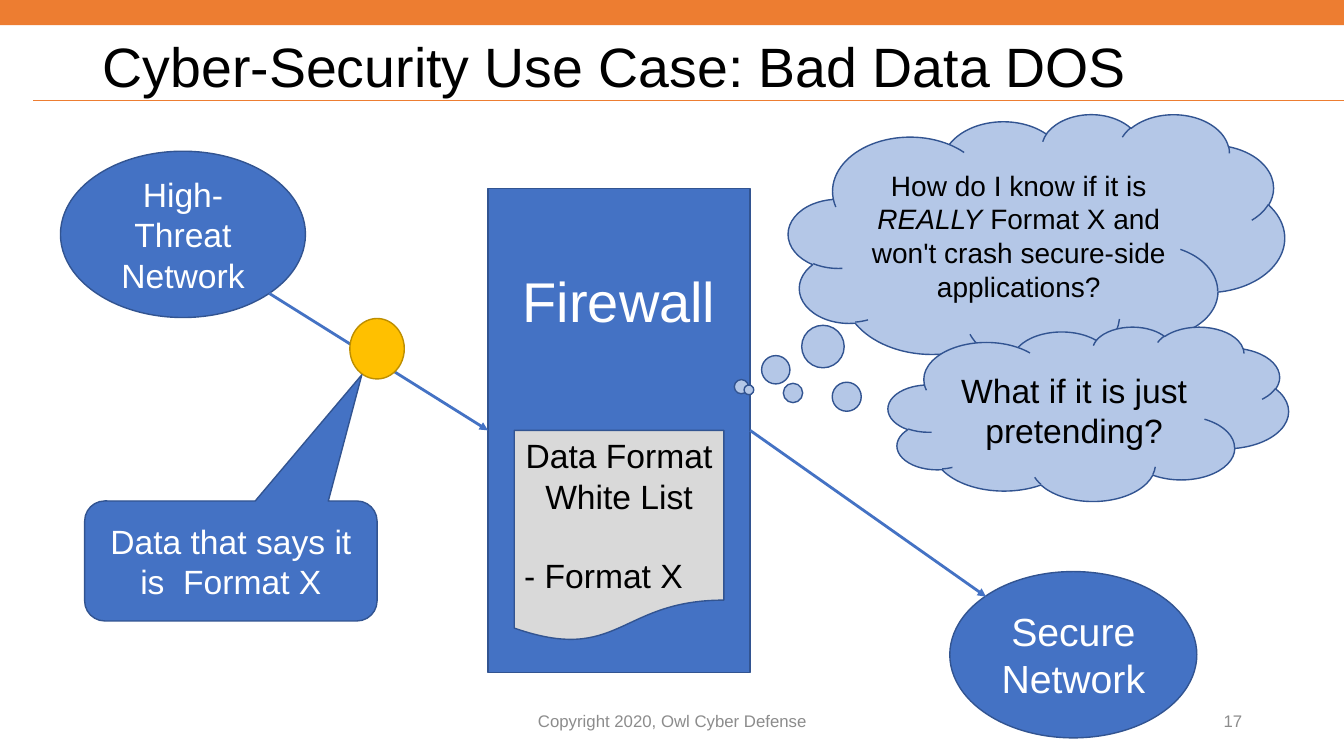
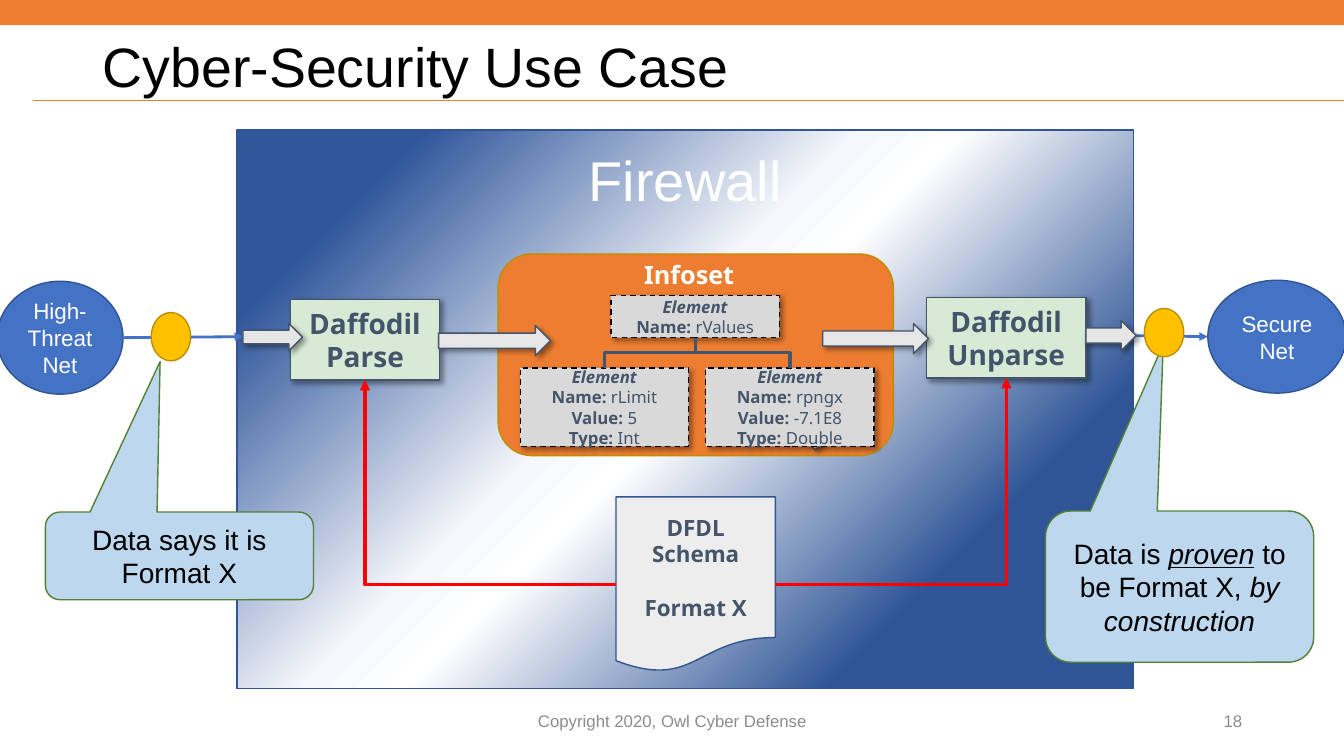
from dataclasses import dataclass
from typing import NamedTuple, Optional

import pptx
import pptx.dml.color
import pptx.enum.dml
import pptx.enum.shapes
import pptx.enum.text
import pptx.oxml.ns
import pptx.util
from lxml import etree

EMU_PER_PX = 9144  # 100 px to the inch
KIND = pptx.enum.shapes.MSO_SHAPE
WIRE = pptx.enum.shapes.MSO_CONNECTOR
ALIGN = pptx.enum.text.PP_ALIGN
ANCHOR = pptx.enum.text.MSO_ANCHOR
TOP, LEFT, BOTTOM, RIGHT = range(4)  # connection sites


class Box(NamedTuple):
    left: int
    top: int
    width: int
    height: int


class Span(NamedTuple):
    text: str
    bold: bool = False
    italic: bool = False
    underline: bool = False


class Para(NamedTuple):
    spans: tuple[Span, ...]
    align: ALIGN = ALIGN.CENTER
    space_before: int = 0


class Style(NamedTuple):
    fill: Optional[str]
    line: Optional[str]
    ink: str = "FFFFFF"
    font: str = "Arial"
    shadow: bool = False
    dashed: bool = False


@dataclass(frozen=True)
class Theme:
    orange: str = "ED7D31"
    blue: str = "4472C4"
    red: str = "FF0000"
    slate: str = "44546A"
    black: str = "000000"
    grey: str = "8C8C8C"
    sans: str = "Arial"
    humanist: str = "Noto Sans"
    title_size: float = 39.6
    firewall_size: int = 40
    secure_size: int = 28
    large_size: int = 24
    body_size: int = 20
    heading_size: int = 18
    net_size: int = 16
    small_size: int = 12
    band: Style = Style("ED7D31", None)
    network: Style = Style("4472C4", "325491")
    glow_wall: Style = Style(None, "2F5597")
    infoset: Style = Style("ED7D31", "BD8E00")
    packet: Style = Style("FFC000", "BD8E00")
    white_list: Style = Style("D9D9D9", "325491", "000000")
    thought: Style = Style("B4C7E7", "325491", "000000")
    speech: Style = Style("BDD7EE", "538035", "000000")
    step: Style = Style("D7EAD6", "44546A", "44546A", "Noto Sans", True)
    arrow: Style = Style("E7E6E6", "44546A", shadow=True)
    element: Style = Style("D9D9D9", "000000", "44546A", "Noto Sans", True, True)
    schema: Style = Style("EDEDED", "325491", "44546A", "Noto Sans")
    wall_stops: tuple[tuple[int, str], ...] = (
        (13, "31579B"), (43, "F6F8FC"), (50, "FFFFFF"), (79, "2F5597"), (100, "2F5597"))


THEME = Theme()


@dataclass(frozen=True)
class Node:
    """A preset shape with optional text; top_inset anchors the text to the top."""
    kind: KIND
    box: Box
    style: Style
    paras: tuple[Para, ...] = ()
    size: float = THEME.large_size
    adjust: tuple[float, ...] = ()
    top_inset: Optional[int] = None
    rotation: int = 0


def px(length: float) -> pptx.util.Emu:
    return pptx.util.Emu(round(length * EMU_PER_PX))


def rgb(value: str) -> pptx.dml.color.RGBColor:
    return pptx.dml.color.RGBColor.from_string(value)


def add_xml(parent, tag: str, **attributes):
    return etree.SubElement(parent, pptx.oxml.ns.qn(tag), attributes)


def apply(target, formats: dict) -> None:
    for name, value in formats.items():
        setattr(target, name, value)


def line_of(text: str, **formats) -> Para:
    """A centred paragraph of one span."""
    return Para((Span(text, **formats),))


def write(frame, paras: tuple[Para, ...], size: float, ink: str, font: str) -> None:
    for index, para in enumerate(paras):
        paragraph = frame.paragraphs[0] if index == 0 else frame.add_paragraph()
        paragraph.alignment = para.align
        if para.space_before:
            paragraph.space_before = pptx.util.Pt(para.space_before)
        for span in para.spans:
            run = paragraph.add_run()
            run.text = span.text
            apply(run.font, {"name": font, "size": pptx.util.Pt(size), "bold": span.bold,
                             "italic": span.italic, "underline": span.underline})
            run.font.color.rgb = rgb(ink)


def draw(page, node: Node):
    shape = page.shapes.add_shape(node.kind, *map(px, node.box))
    style = node.style
    shape.rotation = node.rotation
    for index, value in enumerate(node.adjust):
        shape.adjustments[index] = value
    if style.fill:
        shape.fill.solid()
        shape.fill.fore_color.rgb = rgb(style.fill)
    if style.line:
        shape.line.color.rgb = rgb(style.line)
        shape.line.width = pptx.util.Pt(1)
    else:
        shape.line.fill.background()
    if style.dashed:
        shape.line.dash_style = pptx.enum.dml.MSO_LINE.DASH
    shape.shadow.inherit = False
    if style.shadow:
        effects = shape.element.spPr.find(pptx.oxml.ns.qn("a:effectLst"))
        outer = add_xml(effects, "a:outerShdw", blurRad="50800", dist="38100",
                        dir="2700000", algn="tl", rotWithShape="0")
        color = add_xml(outer, "a:srgbClr", val=THEME.black)
        add_xml(color, "a:alpha", val="40000")
    frame = shape.text_frame
    apply(frame, {"word_wrap": True, "vertical_anchor": ANCHOR.MIDDLE})
    if node.top_inset is not None:
        apply(frame, {"vertical_anchor": ANCHOR.TOP, "margin_top": px(node.top_inset)})
    write(frame, node.paras, node.size, style.ink, style.font)
    return shape


def fill_diagonally(shape, stops: tuple[tuple[int, str], ...]) -> None:
    shape.fill.gradient()
    shape.fill.gradient_angle = 315
    stop_list = next(shape.element.spPr.iter(pptx.oxml.ns.qn("a:gsLst")))
    for stop in list(stop_list):
        stop_list.remove(stop)
    for percent, color in stops:
        add_xml(add_xml(stop_list, "a:gs", pos=str(percent * 1000)), "a:srgbClr", val=color)


def connect(page, start: tuple[int, int], end: tuple[int, int], color: str,
            width: float, head: bool = False, kind: WIRE = WIRE.STRAIGHT):
    wire = page.shapes.add_connector(kind, *map(px, (*start, *end)))
    wire.line.color.rgb = rgb(color)
    wire.line.width = pptx.util.Pt(width)
    if head:
        add_xml(wire.line._get_or_add_ln(), "a:tailEnd", type="triangle")
    add_xml(wire.element.spPr, "a:effectLst")
    return wire


def glue(wire, source, source_site: int, target, target_site: int) -> None:
    wire.begin_connect(source, source_site)
    wire.end_connect(target, target_site)


def link_schema(page, schema, side: int, step) -> None:
    """A red arrow that leaves the schema sideways and turns up into a step."""
    wire = connect(page, (0, 0), (0, 0), THEME.red, 2.5, True, WIRE.ELBOW)
    glue(wire, schema, side, step, BOTTOM)
    wire.element.spPr.find(pptx.oxml.ns.qn("a:prstGeom")).set("prst", "bentConnector2")


def link_child(page, parent, child) -> None:
    """A tree branch that goes down, across and down again."""
    wire = connect(page, (0, 0), (0, 0), THEME.slate, 2.25, kind=WIRE.ELBOW)
    glue(wire, parent, BOTTOM, child, TOP)
    across, down = wire.end_x - wire.begin_x, wire.end_y - wire.begin_y
    middle_x, middle_y = (wire.begin_x + wire.end_x) // 2, (wire.begin_y + wire.end_y) // 2
    apply(wire, {"left": middle_x - down // 2, "top": middle_y - abs(across) // 2,
                 "width": down, "height": abs(across)})
    frame = wire.element.spPr.find(pptx.oxml.ns.qn("a:xfrm"))
    for name in ("flipH", "flipV"):
        frame.attrib.pop(name, None)
    frame.set("rot", str((90 if across < 0 else 270) * 60000))
    if across > 0:
        frame.set("flipH", "1")


def caption(page, box: Box, para: Para, size: int, ink: str, font: str, wrap: bool = True) -> None:
    frame = page.shapes.add_textbox(*map(px, box)).text_frame
    apply(frame, {"word_wrap": wrap, "vertical_anchor": ANCHOR.MIDDLE})
    write(frame, (para,), size, ink, font)


def decorate_layout(layout, page) -> None:
    """Draw the band and the title rule, then hand them to the layout."""
    band = draw(page, Node(KIND.RECTANGLE, Box(0, 0, 1333, 25), THEME.band))
    rule = connect(page, (33, 100), (1333, 100), THEME.orange, 0.5)
    for index, shape in enumerate((band, rule)):
        layout.shapes.element.insert(2 + index, shape.element)


def add_page(deck, title: str, number: int):
    page = deck.slides.add_slide(deck.slide_layouts[5])
    holder = page.shapes.title
    apply(holder, dict(zip(("left", "top", "width", "height"), map(px, (92, 38, 1219, 62)))))
    frame = holder.text_frame
    apply(frame, {"word_wrap": True, "vertical_anchor": ANCHOR.MIDDLE,
                  "auto_size": pptx.enum.text.MSO_AUTO_SIZE.NONE})
    write(frame, (Para((Span(title),), ALIGN.LEFT),), THEME.title_size, THEME.black, THEME.sans)
    frame.paragraphs[0].line_spacing = 0.9
    for box, text, align in (
            (Box(442, 695, 450, 40), "Copyright 2020, Owl Cyber Defense", ALIGN.CENTER),
            (Box(942, 695, 300, 40), str(number), ALIGN.RIGHT)):
        caption(page, box, Para((Span(text),), align), THEME.small_size, THEME.grey, THEME.sans)
    return page


def draw_bad_data(page) -> None:
    network, thought = THEME.network, THEME.thought
    for node in (
            Node(KIND.RECTANGLE, Box(484, 187, 260, 480), network, (line_of("Firewall"),),
                 THEME.firewall_size, top_inset=77),
            Node(KIND.OVAL, Box(60, 150, 243, 165), network, (line_of("High-Threat Network"),)),
            Node(KIND.OVAL, Box(942, 567, 245, 165), network, (line_of("Secure Network"),),
                 THEME.secure_size)):
        draw(page, node)
    for start, end in (((267, 291), (484, 427)), ((744, 427), (978, 592))):
        connect(page, start, end, THEME.blue, 2, True)
    question = Para((Span("How do I know if it is "), Span("REALLY", italic=True),
                     Span(" Format X and won't crash secure-side applications?")))
    for node in (
            Node(KIND.FLOWCHART_DOCUMENT, Box(510, 427, 208, 210), THEME.white_list,
                 (line_of("Data Format White List"),
                  Para((Span("- Format X"),), ALIGN.LEFT, 28))),
            Node(KIND.OVAL, Box(347, 316, 54, 60), THEME.packet),
            Node(KIND.ROUNDED_RECTANGULAR_CALLOUT, Box(84, 497, 290, 119), network,
                 (line_of("Data that says it is  Format X"),), adjust=(0.448, -1.552, 0.167)),
            Node(KIND.CLOUD_CALLOUT, Box(782, 113, 492, 253), thought, (question,),
                 THEME.body_size, (-0.595, 0.57)),
            Node(KIND.CLOUD_CALLOUT, Box(881, 324, 397, 173), thought,
                 (line_of("What if it is just pretending?"),), adjust=(-0.848, -0.137))):
        draw(page, node)


def draw_element(page, box: Box, **fields: str):
    rows = tuple(Para((Span(f"{name}: ", bold=True), Span(value)))
                 for name, value in fields.items())
    heading = line_of("Element", bold=True, italic=True)
    return draw(page, Node(KIND.RECTANGLE, box, THEME.element, (heading, *rows),
                           THEME.small_size))


def draw_proven_data(page) -> None:
    wall = draw(page, Node(KIND.RECTANGLE, Box(235, 129, 889, 554), THEME.glow_wall,
                           (line_of("Firewall"),), THEME.firewall_size, top_inset=15))
    fill_diagonally(wall, THEME.wall_stops)
    draw(page, Node(KIND.ROUNDED_RECTANGLE, Box(494, 252, 392, 200), THEME.infoset))
    for box, text in ((Box(-3, 279, 125, 112), "High-Threat Net"),
                      (Box(1198, 278, 137, 112), "Secure Net")):
        draw(page, Node(KIND.OVAL, box, THEME.network, (line_of(text),), THEME.net_size))
    for start, end in (((122, 335), (241, 334)), ((1127, 333), (1198, 334))):
        connect(page, start, end, THEME.blue, 2, True)
    parser, unparser = (
        draw(page, Node(KIND.RECTANGLE, box, THEME.step,
                        tuple(line_of(word, bold=True) for word in ("Daffodil", action)),
                        THEME.body_size))
        for box, action in ((Box(288, 297, 148, 80), "Parse"),
                            (Box(919, 295, 158, 80), "Unparse")))
    for box, rotation in ((Box(793, 401, 74, 28), 315), (Box(241, 321, 59, 27), 0),
                          (Box(816, 321, 105, 30), 0), (Box(1077, 318, 50, 30), 0),
                          (Box(435, 323, 111, 30), 0)):
        draw(page, Node(KIND.RIGHT_ARROW, box, THEME.arrow, rotation=rotation))

    root = draw_element(page, Box(606, 293, 167, 42), Name="rValues")
    children = (
        draw_element(page, Box(516, 365, 167, 78), Name="rLimit", Value="5", Type="Int"),
        draw_element(page, Box(700, 365, 167, 78), Name="rpngx", Value="-7.1E8", Type="Double"))
    for child in children:
        link_child(page, root, child)
    caption(page, Box(628, 252, 111, 40), line_of("Infoset", bold=True),
            THEME.heading_size, THEME.infoset.ink, THEME.humanist, False)

    schema = draw(page, Node(
        KIND.FLOWCHART_DOCUMENT, Box(611, 493, 158, 174), THEME.schema,
        (line_of("DFDL Schema", bold=True),
         Para((Span("Format X", bold=True),), space_before=19)), THEME.net_size))
    link_schema(page, schema, LEFT, parser)
    link_schema(page, schema, RIGHT, unparser)

    claim = line_of("Data says it is Format X")
    proof = Para((Span("Data is "), Span("proven", italic=True, underline=True),
                  Span(" to be Format X, "), Span("by construction", italic=True)))
    for box, para, adjust in (
            (Box(1037, 507, 266, 150), proof, (-0.061, -1.603, 0.167)),
            (Box(45, 508, 266, 87), claim, (-0.072, -2.215, 0.167))):
        draw(page, Node(KIND.ROUNDED_RECTANGULAR_CALLOUT, box, THEME.speech, (para,),
                        THEME.body_size, adjust))
    for left, top in ((150, 310), (1135, 306)):
        draw(page, Node(KIND.OVAL, Box(left, top, 39, 48), THEME.packet))


def main() -> None:
    deck = pptx.Presentation()
    apply(deck, {"slide_width": px(1333), "slide_height": px(750)})
    bad_data = add_page(deck, "Cyber-Security Use Case: Bad Data DOS", 17)
    decorate_layout(deck.slide_layouts[5], bad_data)
    draw_bad_data(bad_data)
    draw_proven_data(add_page(deck, "Cyber-Security Use Case", 18))
    deck.save("out.pptx")


if __name__ == "__main__":
    main()
